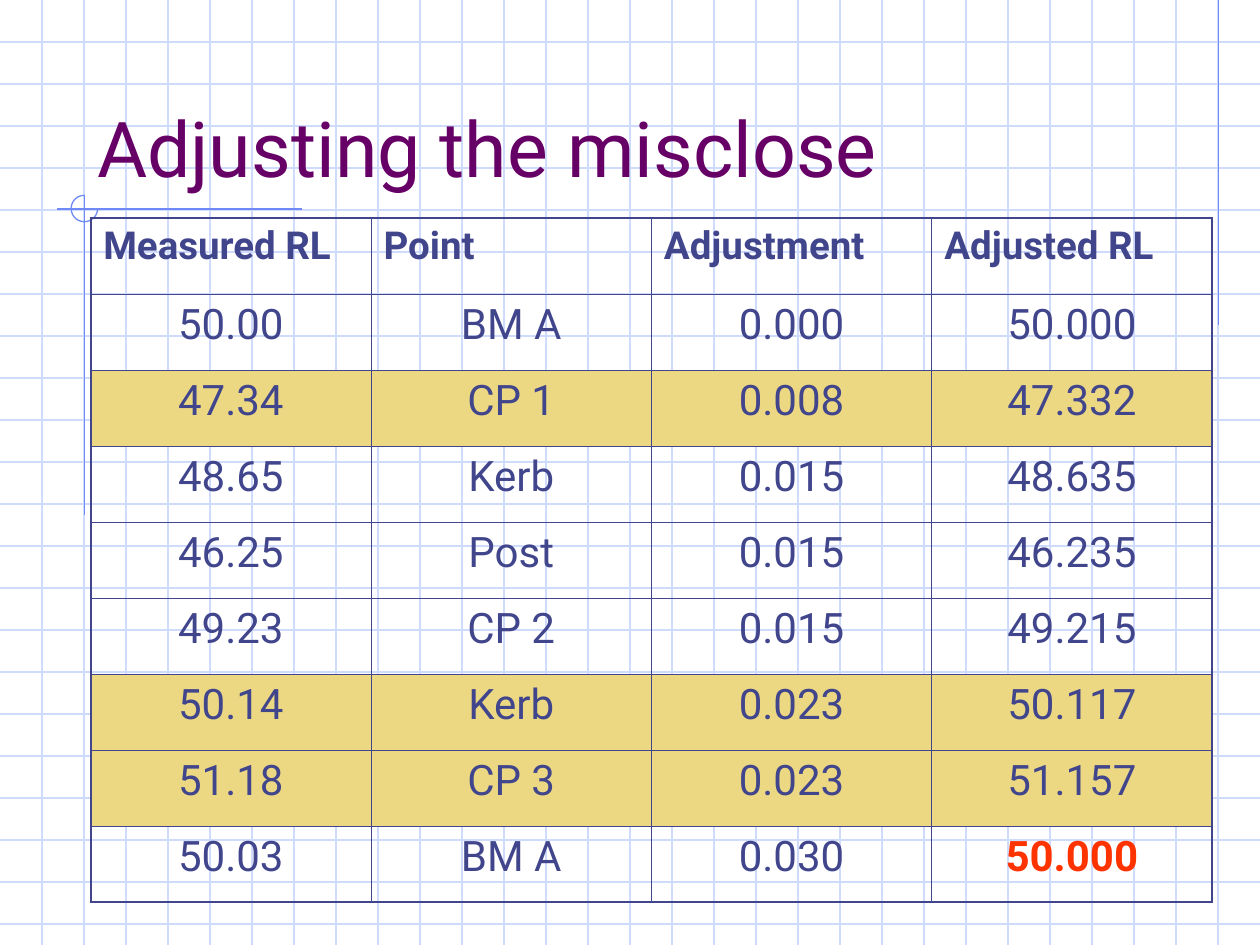
import math

from lxml import etree
from pptx import Presentation
from pptx.dml.color import RGBColor
from pptx.enum import shapes, text
from pptx.oxml.ns import qn
from pptx.util import Inches, Pt

FONT = "Roboto"
GRID = RGBColor(0xCF, 0xDB, 0xFD)
ACCENT = RGBColor(0x6F, 0x89, 0xF7)
PURPLE = RGBColor(0x66, 0x00, 0x66)
INK = RGBColor(0x40, 0x45, 0x8C)
GOLD = RGBColor(0xEC, 0xD8, 0x82)
RED = RGBColor(0xFF, 0x33, 0x00)

TITLE = "Adjusting the misclose"
ROWS = [
    ("Measured RL", "Point", "Adjustment", "Adjusted RL"),
    ("50.00", "BM A", "0.000", "50.000"),
    ("47.34", "CP 1", "0.008", "47.332"),
    ("48.65", "Kerb", "0.015", "48.635"),
    ("46.25", "Post", "0.015", "46.235"),
    ("49.23", "CP 2", "0.015", "49.215"),
    ("50.14", "Kerb", "0.023", "50.117"),
    ("51.18", "CP 3", "0.023", "51.157"),
    ("50.03", "BM A", "0.030", "50.000"),
]
GOLD_ROWS = {2, 6, 7}
CLOSING_CELL = (8, 3)

WIDTH, HEIGHT = 10, 7.5
GRID_PER_INCH = 3
ACCENT_LINES = [
    (9.67, 0, 9.67, 2.58),
    (2.4, 1.66, 0.45, 1.66),
    (0.67, 1.55, 0.67, 4.09),
]
ARC_CENTRE, ARC_RADIUS = (0.67, 1.655), 0.105
TABLE_BOX = (0.72, 1.73, 8.9, 5.43)
THIN, THICK = 0.45, 1.08


def add_line(s, ends, color):
    line = s.shapes.add_connector(shapes.MSO_CONNECTOR.STRAIGHT, *map(Inches, ends))
    line.line.color.rgb = color
    line.line.width = Pt(0.75)
    etree.SubElement(line._element.spPr, qn("a:effectLst"))


def add_grid(s):
    for i in range(1, math.ceil(HEIGHT * GRID_PER_INCH)):
        y = i / GRID_PER_INCH
        add_line(s, (0, y, WIDTH, y), GRID)
    for i in range(1, WIDTH * GRID_PER_INCH):
        x = i / GRID_PER_INCH
        add_line(s, (x, 0, x, HEIGHT), GRID)


def add_arc(s):
    """Three quarters of a circle, from the top round the left to the right."""
    cx, cy = ARC_CENTRE
    points = [
        (Inches(cx - ARC_RADIUS * math.sin(math.radians(a))),
         Inches(cy - ARC_RADIUS * math.cos(math.radians(a))))
        for a in range(0, 271, 10)
    ]
    builder = s.shapes.build_freeform(*points[0])
    builder.add_line_segments(points[1:], close=False)
    arc = builder.convert_to_shape()
    arc.shadow.inherit = False
    arc.fill.background()
    arc.line.color.rgb = ACCENT
    arc.line.width = Pt(0.75)


def add_title(s):
    title = s.shapes.title
    s.shapes._spTree.append(title._element)  # in front of the grid
    title.left, title.top, title.width, title.height = map(Inches, (0.67, 0.33, 8.5, 1.25))
    tf = title.text_frame
    tf.text = TITLE
    tf.vertical_anchor = text.MSO_ANCHOR.BOTTOM
    p = tf.paragraphs[0]
    p.alignment = text.PP_ALIGN.LEFT
    p.font.name, p.font.size, p.font.color.rgb = FONT, Pt(44), PURPLE


def set_borders(cell, widths):
    tcPr = cell._tc.get_or_add_tcPr()
    for side, width in zip("LRTB", widths):
        ln = etree.SubElement(tcPr, qn(f"a:ln{side}"), w=str(Pt(width)))
        fill = etree.SubElement(ln, qn("a:solidFill"))
        etree.SubElement(fill, qn("a:srgbClr"), val=str(INK))


def format_cell(cell, row, col):
    last_row, last_col = len(ROWS) - 1, len(ROWS[0]) - 1
    outer = (col == 0, col == last_col, row == 0, row == last_row)
    set_borders(cell, [THICK if edge else THIN for edge in outer])
    if row in GOLD_ROWS:
        cell.fill.solid()
        cell.fill.fore_color.rgb = GOLD
    else:
        cell.fill.background()

    header, closing = row == 0, (row, col) == CLOSING_CELL
    p = cell.text_frame.paragraphs[0]
    p.alignment = text.PP_ALIGN.LEFT if header else text.PP_ALIGN.CENTER
    p.space_before = Pt(5.5 if header else 6)
    p.font.name = FONT
    p.font.size = Pt(22 if header else 24)
    p.font.bold = header or closing
    p.font.color.rgb = RED if closing else INK


def add_levels_table(s):
    n_rows, n_cols = len(ROWS), len(ROWS[0])
    left, top, width, height = map(Inches, TABLE_BOX)
    table = s.shapes.add_table(n_rows, n_cols, left, top, width, height).table
    table.first_row = table.horz_banding = False
    for column in table.columns:
        column.width = width // n_cols
    for row in table.rows:
        row.height = height // n_rows
    for r, values in enumerate(ROWS):
        for c, value in enumerate(values):
            cell = table.cell(r, c)
            cell.text = value
            format_cell(cell, r, c)


def main():
    prs = Presentation()
    prs.slide_width, prs.slide_height = Inches(WIDTH), Inches(HEIGHT)
    s = prs.slides.add_slide(prs.slide_layouts[5])
    add_grid(s)
    for ends in ACCENT_LINES:
        add_line(s, ends, ACCENT)
    add_arc(s)
    add_title(s)
    add_levels_table(s)
    prs.save("out.pptx")


if __name__ == "__main__":
    main()
